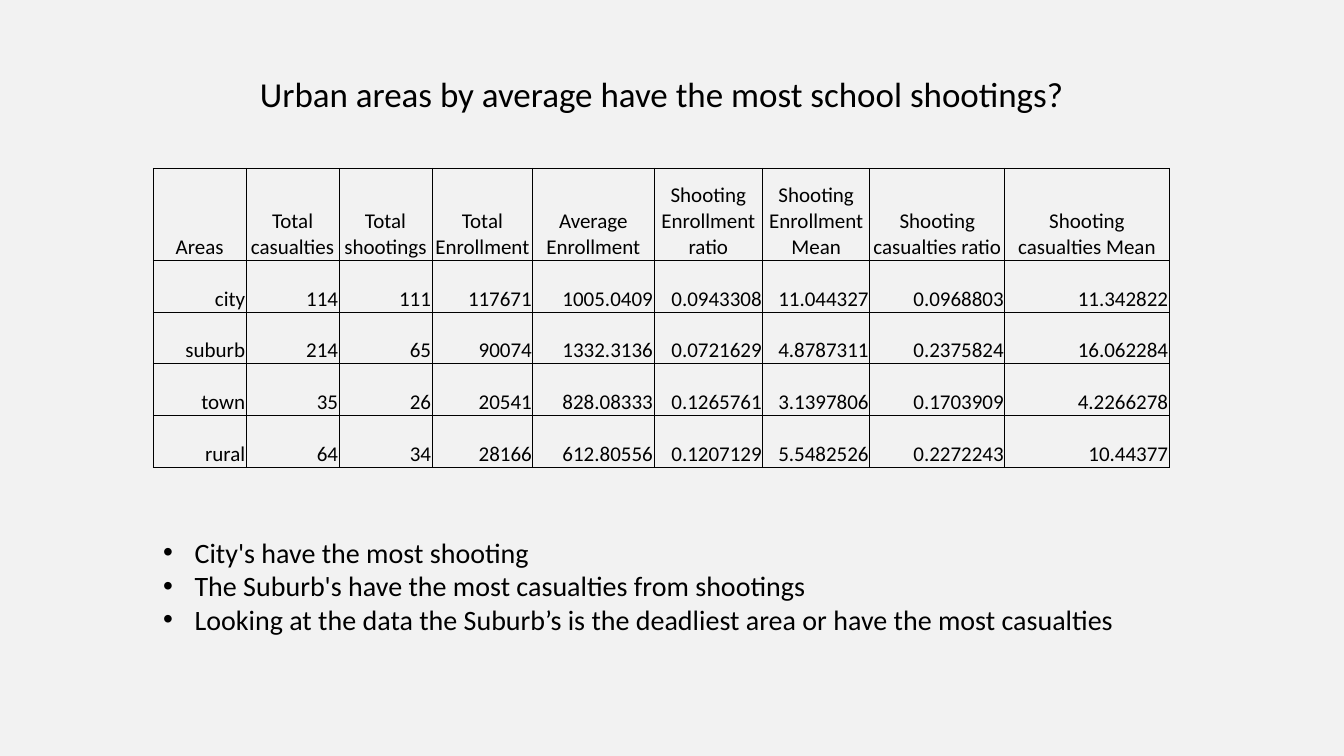
from lxml.etree import SubElement
from pptx import Presentation
from pptx.dml.color import RGBColor as RGB
from pptx.enum.text import MSO_ANCHOR as ANCHOR, MSO_AUTO_SIZE as AUTO, PP_ALIGN as ALIGN
from pptx.oxml import parse_xml
from pptx.oxml.ns import nsdecls, qn
from pptx.util import Pt

TITLE = "Urban areas by average have the most school shootings?"
HEADERS = [
    "Areas", "Total casualties", "Total shootings", "Total Enrollment",
    "Average Enrollment", "Shooting Enrollment ratio", "Shooting Enrollment Mean",
    "Shooting casualties ratio", "Shooting casualties Mean",
]
AREAS = [
    ("city", "114", "111", "117671", "1005.0409", "0.0943308", "11.044327", "0.0968803", "11.342822"),
    ("suburb", "214", "65", "90074", "1332.3136", "0.0721629", "4.8787311", "0.2375824", "16.062284"),
    ("town", "35", "26", "20541", "828.08333", "0.1265761", "3.1397806", "0.1703909", "4.2266278"),
    ("rural", "64", "34", "28166", "612.80556", "0.1207129", "5.5482526", "0.2272243", "10.44377"),
]
FINDINGS = [
    "City's have the most shooting",
    "The Suburb's have the most casualties from shootings",
    "Looking at the data the Suburb’s is the deadliest area or have the most casualties",
]

COLORS = {"background": "F2F2F2", "ink": "000000"}
FONT = "Calibri"
LEFT, WIDTH = 109.4, 725.8
TABLE_TOP = 120.2
COL_WIDTHS = [66.4, 66.4, 66.4, 72, 86.5, 77.8, 76.4, 96.5, 117.4]
ROW_HEIGHTS = [65.6] + [37] * len(AREAS)
CELL_FORMAT = {
    "margin_left": Pt(0.7), "margin_right": Pt(0.7), "margin_top": Pt(0.7),
    "margin_bottom": Pt(0), "vertical_anchor": ANCHOR.BOTTOM,
}
BULLET_INDENT = Pt(22.5)


def write(p, text, size):
    r = p.add_run()
    r.text = text
    for name, value in {"name": FONT, "size": Pt(size)}.items():
        setattr(r.font, name, value)
    r.font.color.rgb = RGB.from_string(COLORS["ink"])


def add_text(s, box, lines, size, wrap):
    tf = s.shapes.add_textbox(*map(Pt, box)).text_frame
    tf.word_wrap = wrap
    tf.auto_size = AUTO.SHAPE_TO_FIT_TEXT
    for i, line in enumerate(lines):
        p = tf.add_paragraph() if i else tf.paragraphs[0]
        write(p, line, size)
    return tf


def add_bullet(p):
    pPr = p._p.get_or_add_pPr()
    pPr.set("marL", str(BULLET_INDENT))
    pPr.set("indent", str(-BULLET_INDENT))
    SubElement(pPr, qn("a:buFont"), typeface="Arial")
    SubElement(pPr, qn("a:buChar"), char="•")


def add_borders(cell):
    tcPr = cell._tc.get_or_add_tcPr()
    for i, side in enumerate("LRTB"):
        tcPr.insert(i, parse_xml(
            f'<a:ln{side} {nsdecls("a")} w="{Pt(0.5)}"><a:solidFill>'
            f'<a:srgbClr val="{COLORS["ink"]}"/></a:solidFill></a:ln{side}>'))


def add_data_table(s):
    rows = [HEADERS] + AREAS
    box = (LEFT, TABLE_TOP, WIDTH, sum(ROW_HEIGHTS))
    table = s.shapes.add_table(len(rows), len(HEADERS), *map(Pt, box)).table
    table.first_row = table.horz_banding = False
    for col, width in zip(table.columns, COL_WIDTHS):
        col.width = Pt(width)
    for row, height, texts in zip(table.rows, ROW_HEIGHTS, rows):
        row.height = Pt(height)
        for cell, text in zip(row.cells, texts):
            for name, value in CELL_FORMAT.items():
                setattr(cell, name, value)
            cell.fill.background()
            add_borders(cell)
            p = cell.text_frame.paragraphs[0]
            p.alignment = ALIGN.CENTER if texts is HEADERS else ALIGN.RIGHT
            write(p, text, 15)


def main():
    prs = Presentation()
    prs.slide_width, prs.slide_height = Pt(960), Pt(540)
    s = prs.slides.add_slide(prs.slide_layouts[6])
    s.background.fill.solid()
    s.background.fill.fore_color.rgb = RGB.from_string(COLORS["background"])
    add_data_table(s)
    findings = add_text(s, (LEFT, 378.7, WIDTH, 79.9), FINDINGS, 20, True)
    for p in findings.paragraphs:
        add_bullet(p)
    add_text(s, (178.6, 48.2, 596.9, 37.4), [TITLE], 25, False)
    prs.save("out.pptx")


if __name__ == "__main__":
    main()
